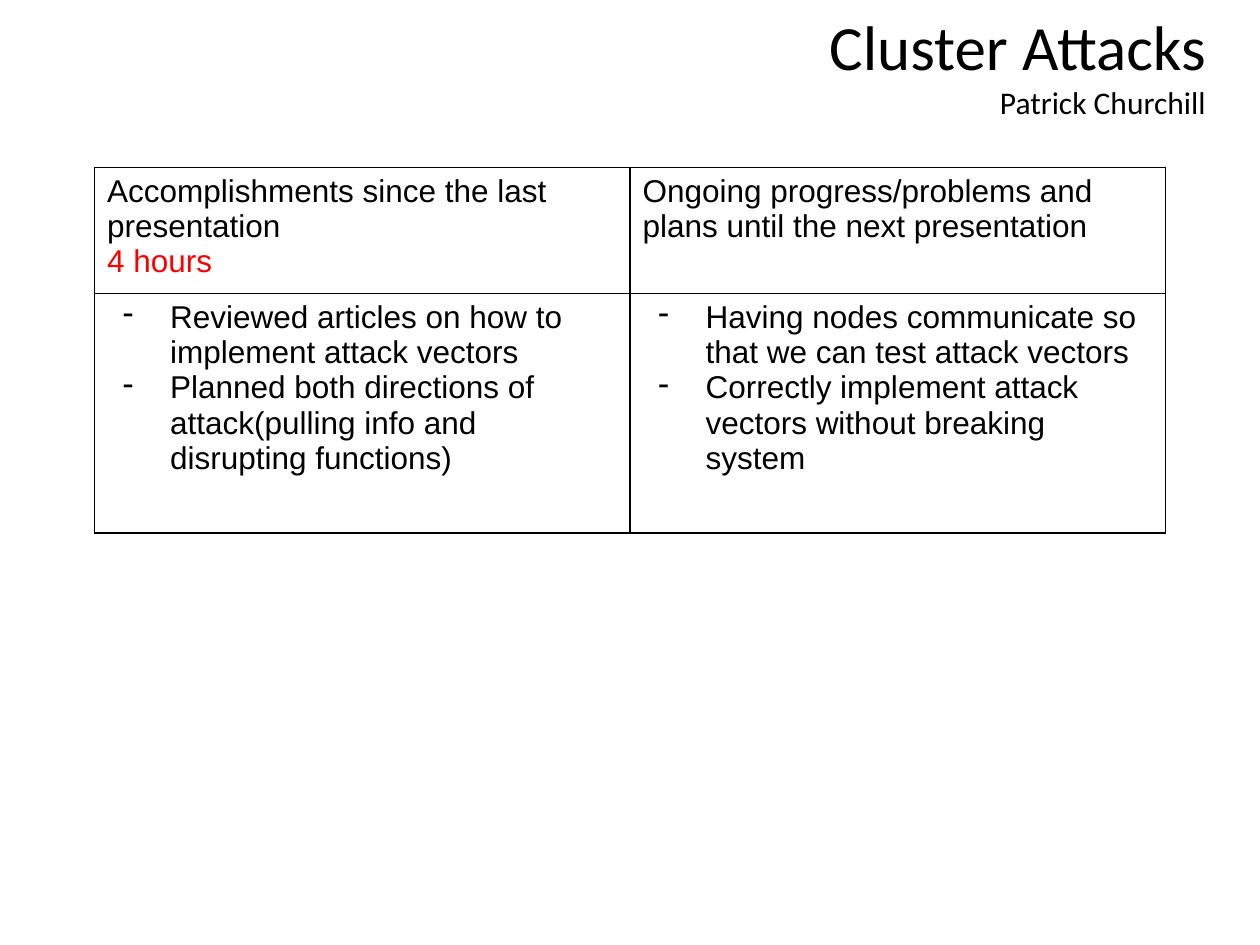
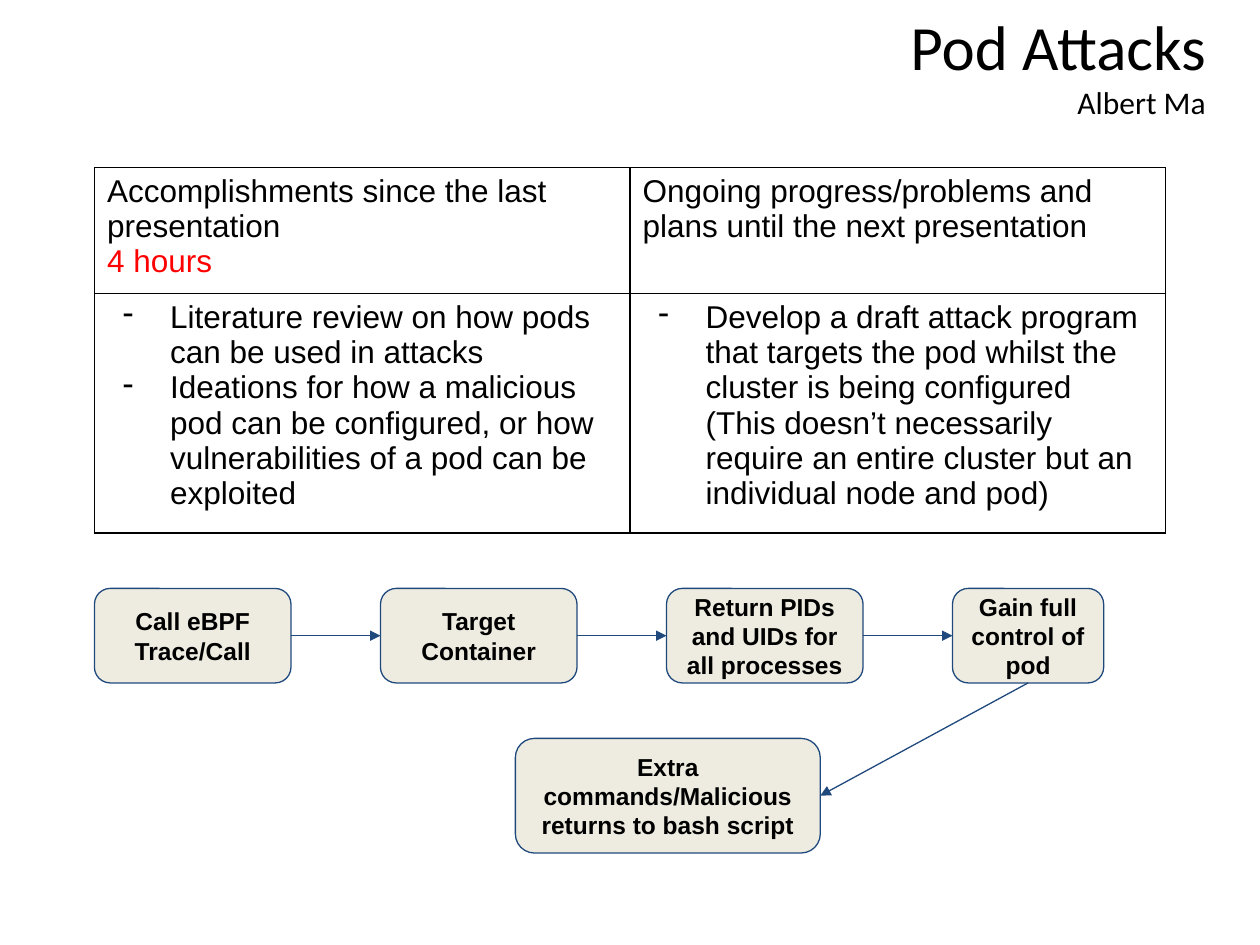
from lxml import etree
from pptx import Presentation
from pptx.dml.color import RGBColor
from pptx.enum.shapes import MSO_CONNECTOR, MSO_SHAPE
from pptx.enum.text import MSO_ANCHOR, MSO_AUTO_SIZE, PP_ALIGN
from pptx.oxml.ns import qn
from pptx.util import Pt

BLACK = RGBColor(0x00, 0x00, 0x00)
RED = RGBColor(0xFF, 0x00, 0x00)
CREAM = RGBColor(0xEE, 0xEC, 0xE1)
NAVY = RGBColor(0x1F, 0x49, 0x7D)

ROUNDED = MSO_SHAPE.ROUNDED_RECTANGLE
STRAIGHT = MSO_CONNECTOR.STRAIGHT
CENTER, RIGHT = PP_ALIGN.CENTER, PP_ALIGN.RIGHT
TOP, MIDDLE = MSO_ANCHOR.TOP, MSO_ANCHOR.MIDDLE
NO_AUTOFIT = MSO_AUTO_SIZE.NONE
SITE_LEFT, SITE_BOTTOM, SITE_RIGHT = 1, 2, 3

TITLE_ONLY = 5
HEADING_BOX = (174.24, 0.72, 522, 72.72)
REPORT_BOX = (54, 95.76, 612, 208.8)
FLOW_BOX = (54, 336.24, 576.72, 151.2)
HEADER_HEIGHT = 72

HEADERS = (
    ("Accomplishments since the last presentation", "4 hours"),
    ("Ongoing progress/problems and plans until the next presentation",),
)
CLUSTER_REPORT = (
    ("- Reviewed articles on how to implement attack vectors",
     "- Planned both directions of attack(pulling info and disrupting functions)"),
    ("- Having nodes communicate so that we can test attack vectors",
     "- Correctly implement attack vectors without breaking system"),
)
POD_REPORT = (
    ("- Literature review on how pods can be used in attacks",
     "- Ideations for how a malicious pod can be configured, "
     "or how vulnerabilities of a pod can be exploited"),
    ("- Develop a draft attack program that targets the pod "
     "whilst the cluster is being configured",
     "(This doesn’t necessarily require an entire cluster but an individual node and pod)"),
)
ATTACK_STEPS = (
    ("Call eBPF Trace/Call", 112.32),
    ("Target Container", 112.32),
    ("Return PIDs and UIDs for all processes", 112.32),
    ("Gain full control of pod", 86.4),
)
FINAL_STEP = "Extra commands/Malicious returns to bash script"


def style_runs(paragraph, size, font, color=BLACK, bold=False):
    """Format every run of a paragraph."""
    for run in paragraph.runs:
        run.font.size = Pt(size)
        run.font.name = font
        run.font.color.rgb = color
        run.font.bold = bold


def add_heading(slide, box, topic, presenter):
    """Put the topic and its presenter into the title placeholder."""
    heading = slide.shapes.title
    heading.left, heading.top, heading.width, heading.height = map(Pt, box)
    frame = heading.text_frame
    frame.text = f"{topic}\n{presenter}"
    frame.vertical_anchor = TOP
    frame.auto_size = NO_AUTOFIT
    for line, size in zip(frame.paragraphs, (36, 18)):
        line.alignment = RIGHT
        style_runs(line, size, "Calibri")


def outline_cell(cell):
    """Give a table cell thin black borders and no fill."""
    properties = cell._tc.get_or_add_tcPr()
    for side in ("a:lnL", "a:lnR", "a:lnT", "a:lnB"):
        border = etree.SubElement(properties, qn(side), w=str(Pt(1)))
        fill = etree.SubElement(border, qn("a:solidFill"))
        etree.SubElement(fill, qn("a:srgbClr"), val=str(BLACK))
    cell.fill.background()


def indent_item(paragraph, dashed):
    """Indent a list item, with a hanging dash if wanted."""
    properties = paragraph._p.get_or_add_pPr()
    properties.set("marL", str(Pt(36)))
    properties.set("indent", str(Pt(-27) if dashed else 0))
    if dashed:
        etree.SubElement(properties, qn("a:buChar"), char="-")


def fill_header(cell, lines):
    """Write a column header, with any second line in red."""
    cell.text_frame.text = "\n".join(lines)
    for line, color in zip(cell.text_frame.paragraphs, (BLACK, RED)):
        style_runs(line, 18, "Arial", color)


def fill_items(cell, items):
    """Write a list whose dashed items start with a dash marker."""
    cell.text_frame.text = "\n".join(item.removeprefix("- ") for item in items)
    for paragraph, item in zip(cell.text_frame.paragraphs, items):
        indent_item(paragraph, item.startswith("- "))
        style_runs(paragraph, 18, "Arial")


def add_report(slide, box, report):
    """Draw the two-column progress table."""
    left, top, width, height = box
    table = slide.shapes.add_table(2, 2, *map(Pt, box)).table
    table.first_row = table.horz_banding = False
    table.rows[0].height = Pt(HEADER_HEIGHT)
    table.rows[1].height = Pt(height - HEADER_HEIGHT)
    for column, (header, items) in enumerate(zip(HEADERS, report)):
        table.columns[column].width = Pt(width / 2)
        fill_header(table.cell(0, column), header)
        fill_items(table.cell(1, column), items)
    for cell in table.iter_cells():
        outline_cell(cell)


def add_step(slide, box, label):
    """Draw one rounded step of the attack flow."""
    step = slide.shapes.add_shape(ROUNDED, *map(Pt, box))
    step.shadow.inherit = False
    step.fill.solid()
    step.fill.fore_color.rgb = CREAM
    step.line.color.rgb = NAVY
    step.line.width = Pt(0.75)
    frame = step.text_frame
    frame.margin_left = frame.margin_right = Pt(7.2)
    frame.margin_top = frame.margin_bottom = Pt(7.2)
    frame.word_wrap = True
    frame.vertical_anchor = MIDDLE
    frame.text = label
    frame.paragraphs[0].alignment = CENTER
    style_runs(frame.paragraphs[0], 14, "Arial", bold=True)
    return step


def link_steps(slide, source, source_site, target, target_site):
    """Join two steps with an arrow."""
    arrow = slide.shapes.add_connector(STRAIGHT, 0, 0, 0, 0)
    arrow.begin_connect(source, source_site)
    arrow.end_connect(target, target_site)
    arrow.line.color.rgb = NAVY
    arrow.line.width = Pt(0.75)
    etree.SubElement(arrow.line._get_or_add_ln(), qn("a:tailEnd"), type="triangle")
    etree.SubElement(arrow._element.spPr, qn("a:effectLst"))


def add_attack_flow(slide, box, steps, final_label):
    """Draw a row of linked steps and the final step below it."""
    left, top, width, height = box
    gap = (width - sum(step_width for _, step_width in steps)) / (len(steps) - 1)
    previous = None
    step_left = left
    for label, step_width in steps:
        step = add_step(slide, (step_left, top, step_width, 54), label)
        if previous is not None:
            link_steps(slide, previous, SITE_RIGHT, step, SITE_LEFT)
        previous = step
        step_left += step_width + gap
    final_height = 65.5
    final_box = (left + 240.5, top + height - final_height, 174.24, final_height)
    final_step = add_step(slide, final_box, final_label)
    link_steps(slide, previous, SITE_BOTTOM, final_step, SITE_RIGHT)


def add_progress_slide(deck, topic, presenter, report):
    """Add a slide with a heading and a progress table."""
    slide = deck.slides.add_slide(deck.slide_layouts[TITLE_ONLY])
    add_heading(slide, HEADING_BOX, topic, presenter)
    add_report(slide, REPORT_BOX, report)
    return slide


def main():
    """Build and save the deck."""
    deck = Presentation()
    deck.slide_width, deck.slide_height = Pt(720), Pt(540)
    add_progress_slide(deck, "Cluster Attacks", "Patrick Churchill", CLUSTER_REPORT)
    pod_slide = add_progress_slide(deck, "Pod Attacks", "Albert Ma", POD_REPORT)
    add_attack_flow(pod_slide, FLOW_BOX, ATTACK_STEPS, FINAL_STEP)
    deck.save("out.pptx")


if __name__ == "__main__":
    main()
